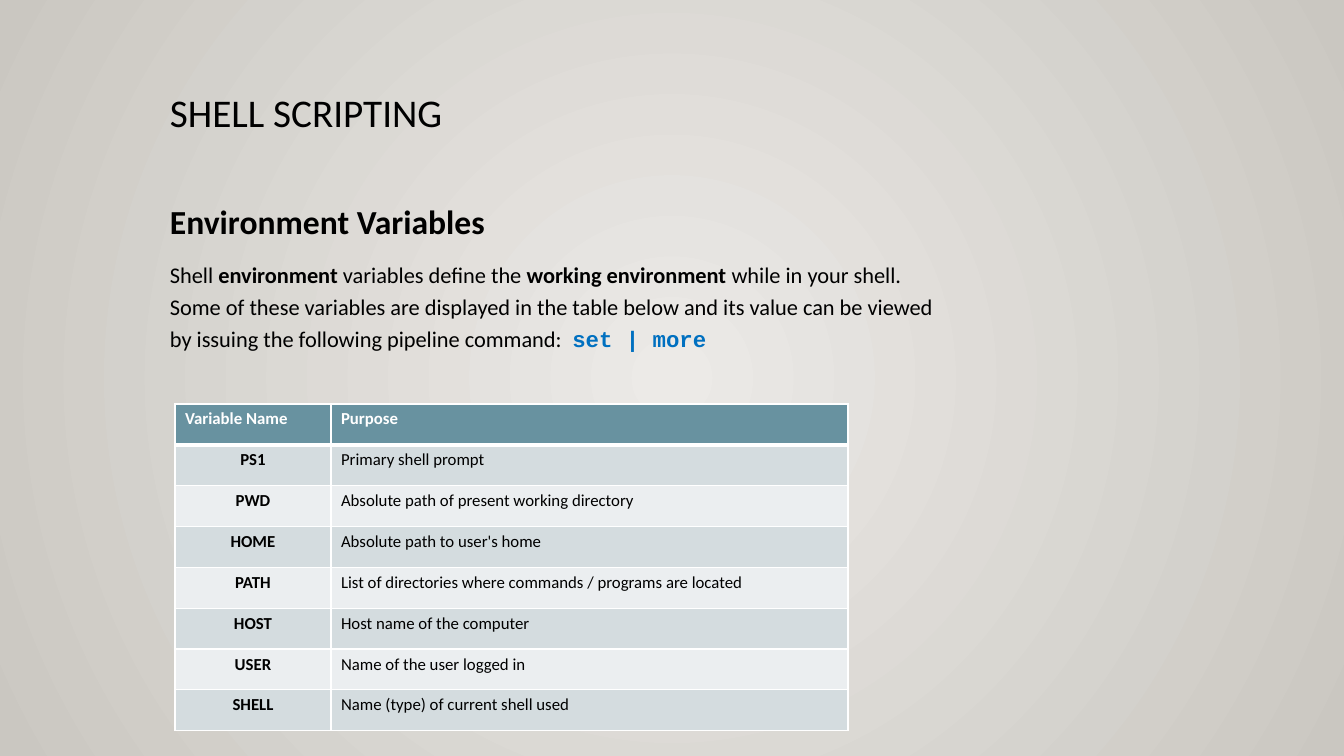
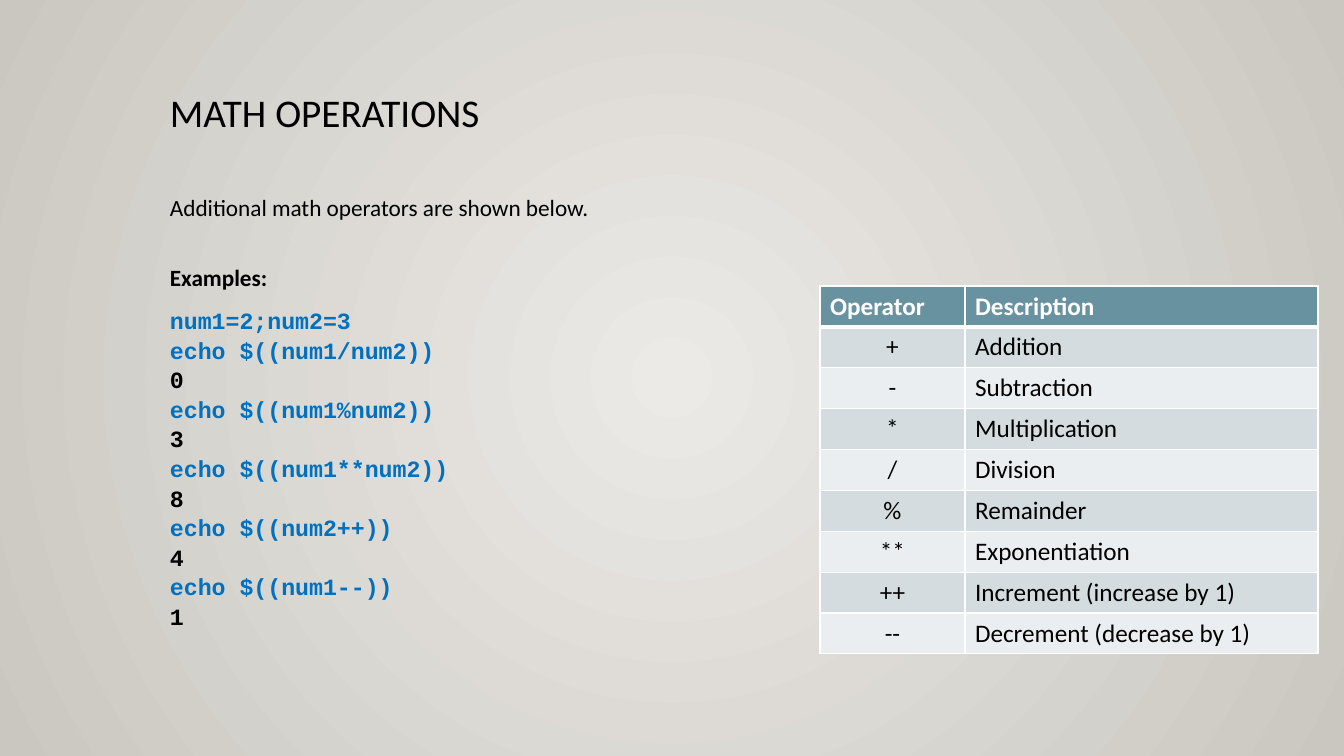
"""Build two slides on shell variables and arithmetic operators."""
from dataclasses import dataclass

from lxml.etree import SubElement
from pptx import Presentation
from pptx.dml.color import RGBColor
from pptx.enum.text import MSO_ANCHOR, PP_ALIGN
from pptx.oxml.ns import qn
from pptx.util import Emu, Pt

EMU_PER_PX = 914400 / 100.8


@dataclass(frozen=True)
class Theme:
    """Colours, fonts and type sizes shared by the slides."""
    ink: str = "000000"
    white: str = "FFFFFF"
    code: str = "0070C0"
    header: str = "6892A0"
    bands: tuple = ("D4DCDF", "EBEEF0")
    backdrop: tuple = ("ECEAE7", "CAC7C1")
    font: str = "Calibri"
    mono: str = "Courier New"
    title: float = 28
    heading: float = 24
    body: float = 16
    example: float = 16.6
    gap: float = 10
    thin: float = 1
    thick: float = 3


THEME = Theme()

VARIABLES = [
    ("Variable Name", "Purpose"),
    ("PS1", "Primary shell prompt"),
    ("PWD", "Absolute path of present working directory"),
    ("HOME", "Absolute path to user's home"),
    ("PATH", "List of directories where commands / programs are located"),
    ("HOST", "Host name of the computer"),
    ("USER", "Name of the user logged in"),
    ("SHELL", "Name (type) of current shell used"),
]

OPERATORS = [
    ("Operator", "Description"),
    ("+", "Addition"),
    ("-", "Subtraction"),
    ("*", "Multiplication"),
    ("/", "Division"),
    ("%", "Remainder"),
    ("**", "Exponentiation"),
    ("++", "Increment (increase by 1)"),
    ("--", "Decrement (decrease by 1)"),
]

EXAMPLES = [
    ("echo $((num1/num2))", "0"),
    ("echo $((num1%num2))", "3"),
    ("echo $((num1**num2))", "8"),
    ("echo $((num2++))", "4"),
    ("echo $((num1--))", "1"),
]


def px(length):
    """Turn a length in pixels into EMU."""
    return Emu(round(length * EMU_PER_PX))


def write(para, text, *, size, color=THEME.ink, font=THEME.font, bold=False):
    """Add formatted text to the end of a paragraph."""
    span = para.add_run()
    span.text = text
    span.font.size = Pt(size)
    span.font.name = font
    span.font.bold = bold
    span.font.color.rgb = RGBColor.from_string(color)


def add_text_box(page, left, top, width, height):
    """Add an empty wrapping text box and return its frame."""
    box = page.shapes.add_textbox(px(left), px(top), px(width), px(height))
    frame = box.text_frame
    frame.word_wrap = True
    frame.vertical_anchor = MSO_ANCHOR.TOP
    return frame


def add_line(frame, *spans, before=0, spacing=1.0, **style):
    """Add a paragraph of (text, extra format) spans to a frame."""
    first = frame.paragraphs[0]
    para = frame.add_paragraph() if first.runs else first
    para.space_before = Pt(before)
    para.line_spacing = spacing
    for text, extra in spans:
        write(para, text, **{**style, **extra})


def set_border(cell, side, width):
    """Draw one solid white edge of a table cell."""
    line = SubElement(cell._tc.get_or_add_tcPr(), qn(f"a:ln{side}"), w=str(Pt(width)))
    fill = SubElement(line, qn("a:solidFill"))
    SubElement(fill, qn("a:srgbClr"), val=THEME.white)


def format_cell(cell, text, row, column, *, size, bold_names):
    """Fill, frame and write one table cell by its place in the grid."""
    is_header = row == 0
    widths = {"L": THEME.thin, "R": THEME.thin,
              "T": THEME.thick if row == 1 else THEME.thin,
              "B": THEME.thick if is_header else THEME.thin}
    for side, width in widths.items():
        set_border(cell, side, width)
    cell.fill.solid()
    shade = THEME.header if is_header else THEME.bands[(row - 1) % 2]
    cell.fill.fore_color.rgb = RGBColor.from_string(shade)
    para = cell.text_frame.paragraphs[0]
    if column == 0 and not is_header:
        para.alignment = PP_ALIGN.CENTER
    write(para, text, size=size, color=THEME.white if is_header else THEME.ink,
          bold=is_header or (bold_names and column == 0))


def add_grid(page, rows, left, top, widths, height, *, size, bold_names=False):
    """Add a banded table with equal row heights."""
    table = page.shapes.add_table(len(rows), len(widths), px(left), px(top),
                                  px(sum(widths)), px(height)).table
    for column, width in zip(table.columns, widths):
        column.width = px(width)
    for row, texts in enumerate(rows):
        table.rows[row].height = px(height / len(rows))
        for column, text in enumerate(texts):
            format_cell(table.cell(row, column), text, row, column,
                        size=size, bold_names=bold_names)


def set_backdrop(master):
    """Give the slide master a circular gradient background."""
    fill = master.background.fill
    fill.gradient()
    for stop, color in zip(fill.gradient_stops, THEME.backdrop):
        stop.color.rgb = RGBColor.from_string(color)
    linear = master.element.find(f".//{qn('a:lin')}")
    gradient = linear.getparent()
    gradient.remove(linear)
    circle = SubElement(gradient, qn("a:path"), path="circle")
    SubElement(circle, qn("a:fillToRect"), dict.fromkeys("ltrb", "50000"))


def add_page(deck, title):
    """Add a blank slide with the shared title style."""
    page = deck.slides.add_slide(deck.slide_layouts[6])
    frame = add_text_box(page, 160, 89, 1058, 116)
    add_line(frame, (title, {}), spacing=0.9, size=THEME.title)
    return page


def build_variables(deck):
    """Build the slide on environment variables."""
    page = add_page(deck, "SHELL SCRIPTING")
    frame = add_text_box(page, 160, 188, 1038, 524)
    strong = {"bold": True}
    body = {"size": THEME.body, "spacing": 1.2}
    add_line(frame, ("Environment Variables", strong), spacing=1.2, size=THEME.heading)
    add_line(frame, ("Shell ", {}), ("environment", strong),
             (" variables define the ", {}), ("working environment ", strong),
             ("while in your shell.", {}), before=THEME.gap, **body)
    add_line(frame, ("Some of these variables are displayed in the table below "
                     "and its value can be viewed", {}), **body)
    add_line(frame, ("by issuing the following pipeline command:  ", {}),
             ("set | more", {"font": THEME.mono, "color": THEME.code, "bold": True}), **body)
    add_grid(page, VARIABLES, 175, 404, (156, 517), 327, size=12, bold_names=True)


def build_operators(deck):
    """Build the slide on arithmetic operators."""
    page = add_page(deck, "MATH OPERATIONS")
    frame = add_text_box(page, 160, 188, 602, 524)
    add_line(frame, ("Additional math operators are shown below.", {}), size=THEME.example)
    add_line(frame, ("Examples:", {}), before=3 * THEME.gap, size=THEME.example, bold=True)
    code = {"size": THEME.example, "font": THEME.mono, "bold": True, "spacing": 1.06}
    add_line(frame, ("num1=2;num2=3", {}), before=THEME.gap, color=THEME.code, **code)
    for command, result in EXAMPLES:
        add_line(frame, (command, {}), color=THEME.code, **code)
        add_line(frame, (result, {}), **code)
    add_grid(page, OPERATORS, 820, 286, (145, 353), 368, size=18)


def main():
    """Build and save the deck."""
    deck = Presentation()
    deck.slide_width, deck.slide_height = px(1344), px(756)
    set_backdrop(deck.slide_master)
    build_variables(deck)
    build_operators(deck)
    deck.save("out.pptx")


if __name__ == "__main__":
    main()
